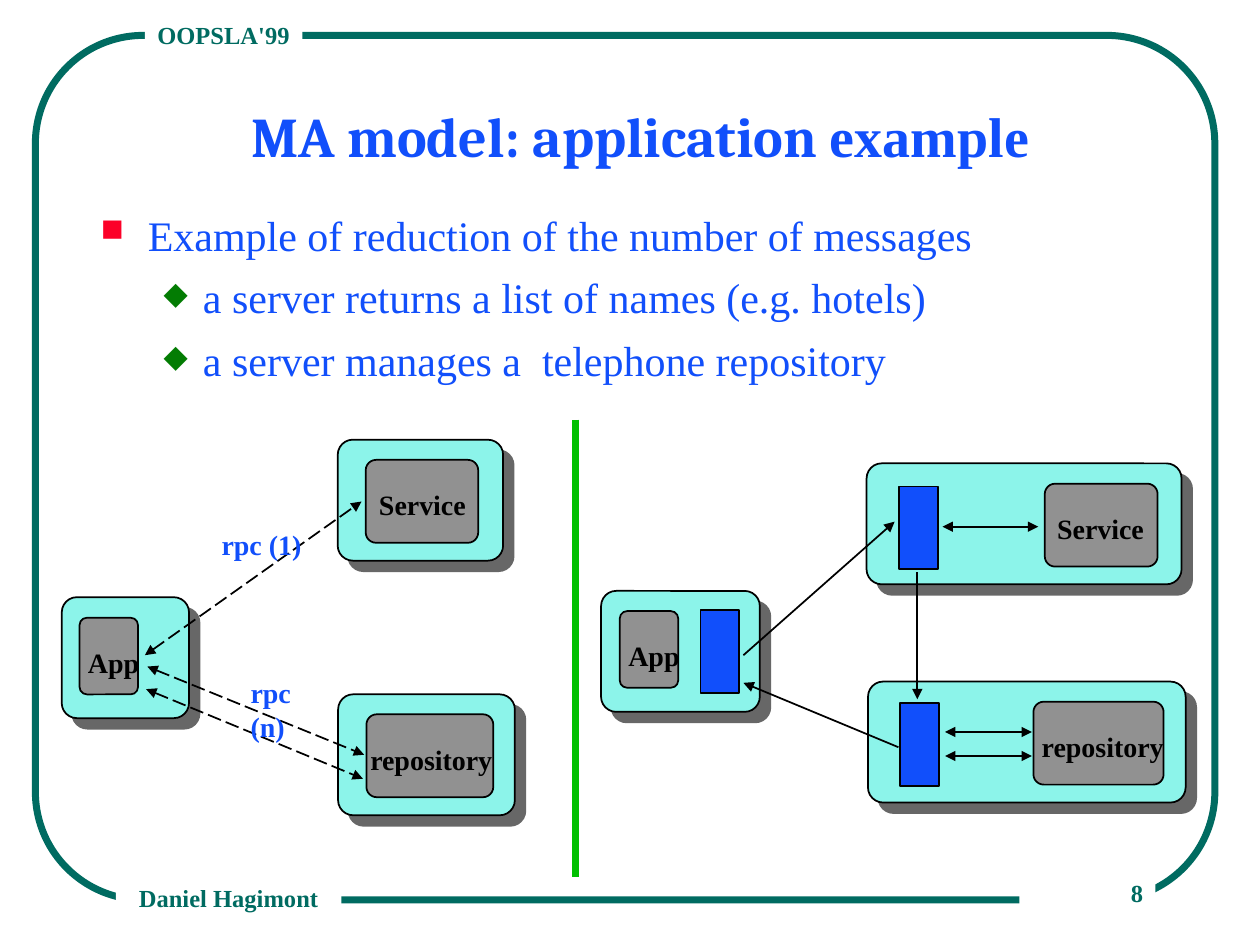
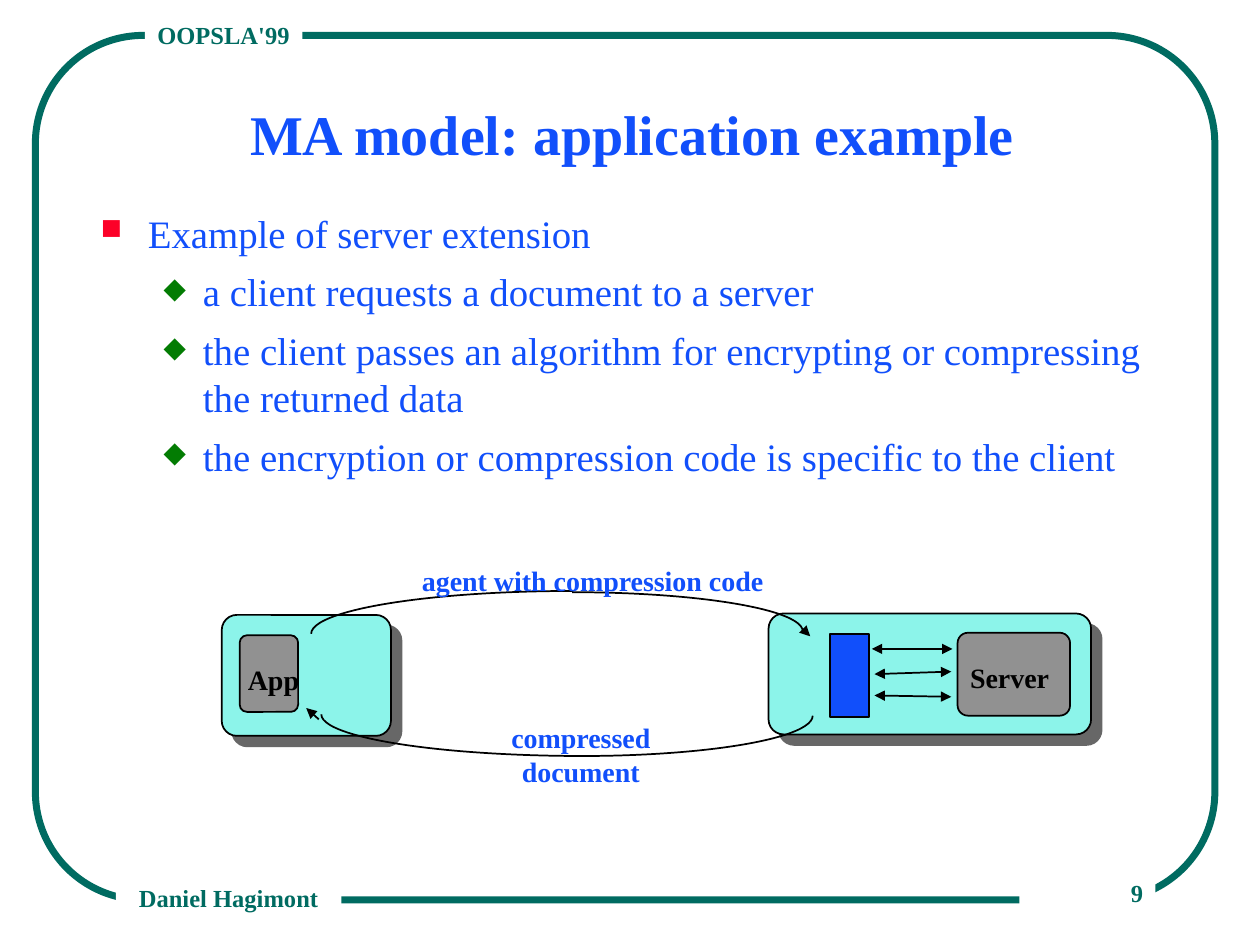
from lxml import etree
from pptx import Presentation
from pptx.dml.color import RGBColor
from pptx.enum import dml, shapes, text
from pptx.oxml.ns import qn
from pptx.util import Pt

hue = RGBColor.from_string
GREEN, BLUE, CYAN, GRAY = "006B61", "114FFB", "8CF4EA", "919191"
BLACK, WHITE = "000000", "FFFFFF"
FONT = "Times New Roman"
RECT = shapes.MSO_SHAPE.RECTANGLE
ROUND = shapes.MSO_SHAPE.ROUNDED_RECTANGLE
ARC = shapes.MSO_SHAPE.ARC
LEFT, MID, RIGHT = text.PP_ALIGN.LEFT, text.PP_ALIGN.CENTER, text.PP_ALIGN.RIGHT
WIDE = {"App": 44, "Service": 64, "Server": 60, "repository": 84}


def box(page, kind, spot, fill=None, edge=None, thick=1,
        words="", ink=BLACK, size=16, side=LEFT):
    """Add a preset shape, or a text box when kind is None."""
    place = [Pt(n) for n in spot]
    if kind is None:
        item = page.shapes.add_textbox(*place)
    else:
        item = page.shapes.add_shape(kind, *place)
        item.shadow.inherit = False
    if kind == ROUND:
        item.adjustments[0] = 0.125
    if fill:
        item.fill.solid()
        item.fill.fore_color.rgb = hue(fill)
    else:
        item.fill.background()
    if edge:
        item.line.color.rgb = hue(edge)
        item.line.width = Pt(thick)
    else:
        item.line.fill.background()
    if words:
        frame = item.text_frame
        frame.text = words
        frame.word_wrap = side != LEFT
        frame.vertical_anchor = text.MSO_ANCHOR.TOP
        par = frame.paragraphs[0]
        par.alignment = side
        font = par.runs[0].font
        font.name, font.size, font.bold = FONT, Pt(size), True
        font.color.rgb = hue(ink)
    return item


def wire(page, ends, color=BLACK, thick=1, dash=False, tips=()):
    """Add a line; tips names the ends that carry arrowheads."""
    item = page.shapes.add_connector(
        shapes.MSO_CONNECTOR.STRAIGHT, *[Pt(n) for n in ends])
    item.line.color.rgb = hue(color)
    item.line.width = Pt(thick)
    if dash:
        item.line.dash_style = dml.MSO_LINE.LONG_DASH
    props = item.element.spPr
    for tip in tips:
        etree.SubElement(props.get_or_add_ln(), qn("a:" + tip), type="triangle")
    etree.SubElement(props, qn("a:effectLst"))


ONE, BOTH = ("tailEnd",), ("headEnd", "tailEnd")

decks = [
    dict(
        num="8", title=[("MA model: application ", "Cambria"), ("example", FONT)],
        at=(59.8, 45.4), size=24, tall=124.6,
        body=["Example of reduction of the number of messages",
              "a server returns a list of names (e.g. hotels)",
              "a server manages a  telephone repository"],
        # left, top, width
        hosts=[(35.3, 341.3, 72.7), (193, 251.3, 94.5), (193.2, 396.8, 101),
               (495.2, 264.8, 180), (496, 389.5, 181.5), (343.5, 337.7, 90.7)],
        # name, left, top, width, label left
        units=[("App", 45.5, 353, 33.4, 43.2),
               ("Service", 209, 262.8, 64.3, 209.5),
               ("repository", 209.4, 408.2, 72.5, 204.5),
               ("Service", 597, 276.4, 64.5, 597),
               ("repository", 590.5, 401, 74.4, 588.2),
               ("App", 354.2, 349.2, 33.4, 352)],
        agents=[(513.8, 278), (514.2, 401.8), (400.3, 348.6)],
        dashed=[(82.8, 374.4, 206.6, 286.6), (84.2, 380.9, 208.1, 431.3),
                (83.5, 393.8, 207.4, 445)],
        double=[(538.6, 301, 593.3, 301), (540, 418.3, 589.7, 418.3),
                (540, 432, 589.7, 432)],
        single=[(424.8, 374.4, 511.2, 298.1), (524.2, 326.9, 524.2, 399.6),
                (513.4, 427, 424.8, 390.2)],
        rules=[(329, 239.8, 329, 501.1)],
        arcs=[],
        notes=[("rpc (1)", 119.5, 298.1, 60, 26, LEFT),
               ("rpc (n)", 136.1, 382.5, 60.5, 26, LEFT)],
    ),
    dict(
        num="9", title=[("MA model: application example", FONT)],
        at=(55.4, 43.9), size=22.2, tall=171.4,
        body=["Example of server extension",
              "a client requests a document to a server",
              "the client passes an algorithm for encrypting or compressing"
              " the returned data",
              "the encryption or compression code is specific to the client"],
        hosts=[(126.7, 351.4, 96.7), (439.2, 350.6, 184.3)],
        units=[("App", 137, 363, 33.4, 134.6),
               ("Server", 547.2, 361.6, 64.3, 547.2)],
        agents=[(474.4, 362.2)],
        dashed=[],
        double=[(498.2, 370.8, 544.3, 370.8), (499.7, 385.2, 543.6, 383.8),
                (499.7, 397.4, 543.6, 398.2)],
        single=[(458.6, 359.3, 463, 363.6), (182.2, 411.1, 175, 404.6)],
        rules=[],
        # centre x, centre y, radius x, radius y, start angle
        arcs=[(326.9, 360.7, 131.8, 22.3, 270), (327.6, 362.2, 149.8, 24.5, 180),
              (332.6, 409, 131.8, 23, 0), (333.4, 408.2, 149.8, 23.8, 90)],
        notes=[("compressed document", 270, 408.2, 123.8, 45.4, MID),
               ("agent with compression code", 234, 318.2, 209.5, 26, LEFT)],
    ),
]

prs = Presentation()
prs.slide_width, prs.slide_height = Pt(720), Pt(540)

for deck in decks:
    page = prs.slides.add_slide(prs.slide_layouts[5])

    # Frame and footers
    box(page, ROUND, (20.2, 20.2, 674, 494), edge=GREEN, thick=4)
    for words, spot, side in [
            ("OOPSLA'99", (82.8, 8, 90, 23.8), LEFT),
            (deck["num"], (582.5, 498.2, 77.8, 23.8), RIGHT),
            ("Daniel Hagimont", (66.2, 501.1, 128.9, 18.7), MID)]:
        box(page, RECT, spot, WHITE, words=words, ink=GREEN, size=14, side=side)

    # Title
    head = page.shapes.title
    head.left, head.top = [Pt(n) for n in deck["at"]]
    head.width, head.height = Pt(612), Pt(54.7)
    frame = head.text_frame
    frame.word_wrap = True
    frame.auto_size = text.MSO_AUTO_SIZE.NONE
    frame.vertical_anchor = text.MSO_ANCHOR.BOTTOM
    par = frame.paragraphs[0]
    par.alignment = MID
    for words, name in deck["title"]:
        run = par.add_run()
        run.text = words
        run.font.name, run.font.size, run.font.bold = name, Pt(32), True
        run.font.color.rgb = hue(BLUE)

    # Bullets
    body = page.shapes.add_textbox(Pt(50.4), Pt(116), Pt(612), Pt(deck["tall"]))
    frame = body.text_frame
    frame.word_wrap = True
    for i, words in enumerate(deck["body"]):
        par = frame.add_paragraph() if i else frame.paragraphs[0]
        par.text = words
        par.level = min(i, 1)
        par.space_before = Pt(7 if i else 0)
        mark, tint, left, back = (
            ("◆", "037C03", 58.5, -22.5) if i else ("■", "FC0128", 27, -27))
        props = par._p.get_or_add_pPr()
        props.set("marL", str(Pt(left)))
        props.set("indent", str(Pt(back)))
        color = etree.SubElement(props, qn("a:buClr"))
        etree.SubElement(color, qn("a:srgbClr"), val=tint)
        etree.SubElement(props, qn("a:buSzPct"), val="75000")
        etree.SubElement(props, qn("a:buChar"), char=mark)
        font = par.runs[0].font
        font.name, font.size = FONT, Pt(deck["size"])
        font.color.rgb = hue(BLUE)

    # Machines, each with a hard shadow
    for x, y, w in deck["hosts"]:
        host = box(page, ROUND, (x, y, w, 69.1), CYAN, BLACK)
        glow = etree.SubElement(
            host.element.spPr.find(qn("a:effectLst")), qn("a:outerShdw"),
            blurRad="0", dist=str(Pt(8.5)), dir="2700000",
            algn="ctr", rotWithShape="0")
        etree.SubElement(glow, qn("a:srgbClr"), val="676767")

    # Programs and agents inside the machines
    for name, x, y, w, start in deck["units"]:
        tall = 43.8 if name == "App" else 47.4
        box(page, ROUND, (x, y, w, tall), GRAY, BLACK)
        box(page, None, (start, y + 12.3, WIDE[name], 26), words=name)
    for x, y in deck["agents"]:
        box(page, RECT, (x, y, 22.2, 47.4), BLUE, BLACK)

    # Messages
    for ends in deck["dashed"]:
        wire(page, ends, dash=True, tips=BOTH)
    for ends in deck["double"]:
        wire(page, ends, tips=BOTH)
    for ends in deck["single"]:
        wire(page, ends, tips=ONE)
    for ends in deck["rules"]:
        wire(page, ends, "00C000", 4)
    for x, y, rx, ry, turn in deck["arcs"]:
        arc = box(page, ARC, (x - rx, y - ry, 2 * rx, 2 * ry), edge=BLACK)
        # One degree is 60000 units, and adjustments count in 100000
        arc.adjustments[0] = turn * 0.6
        arc.adjustments[1] = (turn + 90) % 360 * 0.6
    for words, x, y, w, h, side in deck["notes"]:
        box(page, None, (x, y, w, h), words=words, ink=BLUE, side=side)

prs.save("out.pptx")
